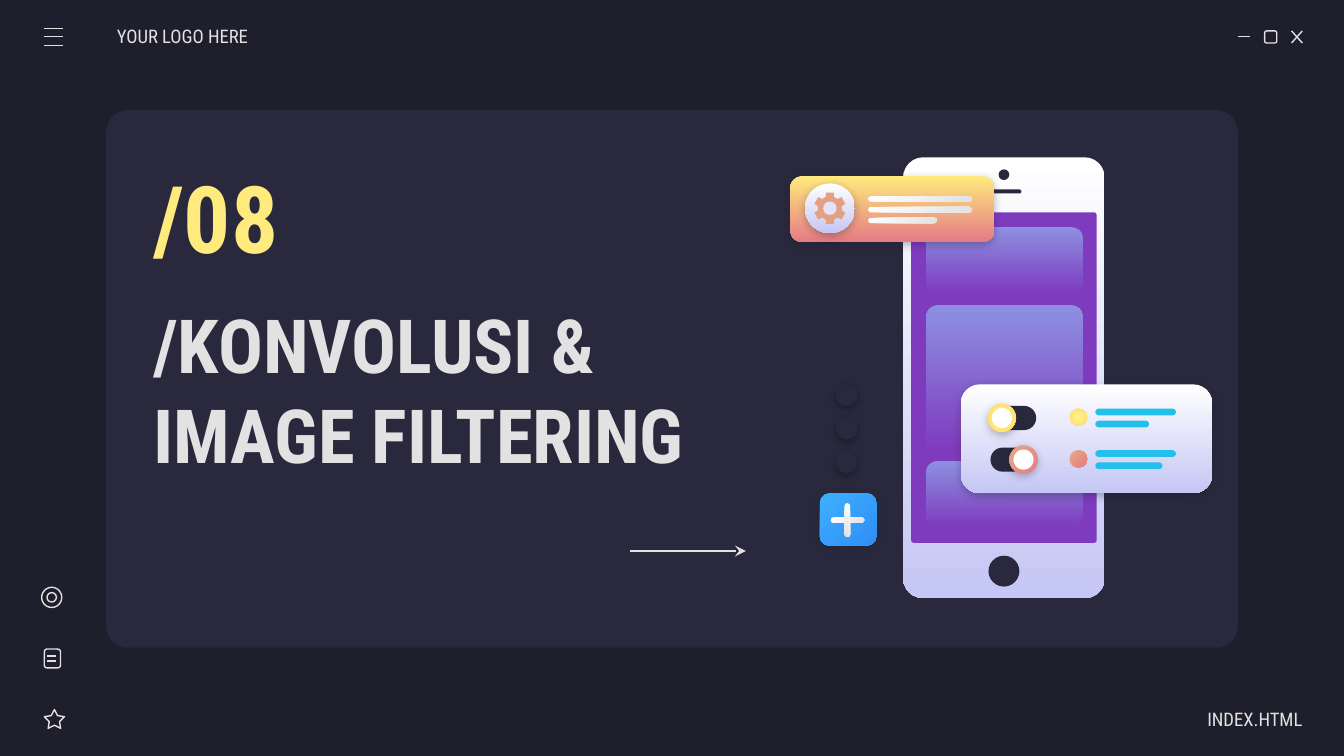
from dataclasses import dataclass
from math import cos, radians, sin

from lxml import etree
from pptx import Presentation
from pptx.dml.color import RGBColor
from pptx.enum.shapes import MSO_CONNECTOR, MSO_SHAPE
from pptx.enum.text import MSO_ANCHOR, MSO_AUTO_SIZE, PP_ALIGN
from pptx.oxml import parse_xml
from pptx.oxml.ns import nsdecls, qn
from pptx.util import Inches, Pt

ROUND, OVAL, STAR = MSO_SHAPE.ROUNDED_RECTANGLE, MSO_SHAPE.OVAL, MSO_SHAPE.STAR_5_POINT
STRAIGHT = MSO_CONNECTOR.STRAIGHT
MIDDLE, NO_FIT = MSO_ANCHOR.MIDDLE, MSO_AUTO_SIZE.NONE
LEFT, RIGHT = PP_ALIGN.LEFT, PP_ALIGN.RIGHT
FONT = "Roboto Condensed"
NAVY, PANEL, LIGHT, YELLOW = "1E1E2C", "29283D", "E2E2E2", "FFEA7D"
WHITE, PURPLE, CYAN, ORANGE = "FFFFFF", "7E3BBE", "24BFEB", "E5A083"


@dataclass(frozen=True)
class Gradient:
    start: str
    end: str
    angle: int = 90
    radial: bool = False


@dataclass(frozen=True)
class Box:
    left: float
    top: float
    width: float
    height: float


@dataclass(frozen=True)
class Toggle:
    track_top: float
    knob_left: float
    ring: Gradient
    bar_widths: tuple[float, float]


SILVER = Gradient(WHITE, "C5C7F4")
BAR = Gradient(WHITE, LIGHT, 45)
VIOLET = Gradient("8D90E1", PURPLE)
GOLD = Gradient("FFF68E", "FFD966", radial=True)
CORAL = Gradient("E9A984", "E57C85", 45)
TOGGLES = (Toggle(3.02, 7.35, GOLD, (0.6, 0.4)),
           Toggle(3.33, 7.51, CORAL, (0.6, 0.5)))

# Widescreen slide, 16 to 9
presentation = Presentation()
presentation.slide_width = Inches(10)
presentation.slide_height = Inches(10 * 9 / 16)
slide = presentation.slides.add_slide(presentation.slide_layouts[0])


def color(value: str) -> RGBColor:
    return RGBColor.from_string(value)


def paint(shape, fill: str | Gradient | None) -> None:
    if fill is None:
        shape.fill.background()
    elif isinstance(fill, str):
        shape.fill.solid()
        shape.fill.fore_color.rgb = color(fill)
    else:
        shape.fill.gradient()
        shape.fill.gradient_angle = 360 - fill.angle
        for stop, value, position in zip(shape.fill.gradient_stops, (fill.start, fill.end), (0, 1)):
            stop.color.rgb = color(value)
            stop.position = position
        if fill.radial:
            linear = shape._element.spPr.find(".//" + qn("a:lin"))
            linear.getparent().replace(linear, parse_xml(
                f'<a:path {nsdecls("a")} path="circle">'
                '<a:fillToRect l="50000" t="50000" r="50000" b="50000"/></a:path>'))


def cast_shadow(shape, value: str) -> None:
    effects = shape._element.spPr.find(qn("a:effectLst"))
    effects.append(parse_xml(
        f'<a:outerShdw {nsdecls("a")} blurRad="57150" dist="19050" dir="5400000" algn="bl" '
        f'rotWithShape="0"><a:srgbClr val="{value}"><a:alpha val="30000"/></a:srgbClr></a:outerShdw>'))


def style(shape, fill: str | Gradient | None, outlined: bool = False, shadow: str = "") -> None:
    shape.shadow.inherit = False
    paint(shape, fill)
    if outlined:
        shape.line.color.rgb = color(LIGHT)
        shape.line.width = Pt(0.75)
    else:
        shape.line.fill.background()
    if shadow:
        cast_shadow(shape, shadow)


def add_shape(kind, box: Box, fill: str | Gradient | None = None, radius: float = 0,
              outlined: bool = False, shadow: str = ""):
    shape = slide.shapes.add_shape(kind, Inches(box.left), Inches(box.top),
                                   Inches(box.width), Inches(box.height))
    if kind == ROUND:
        shape.adjustments[0] = radius / min(box.width, box.height)
    style(shape, fill, outlined, shadow)
    return shape


def add_bar(left: float, top: float, width: float, height: float, fill: str | Gradient):
    return add_shape(ROUND, Box(left, top, width, height), fill, height / 2)


def add_circle(x: float, y: float, diameter: float, fill: str | Gradient | None = None,
               outlined: bool = False, shadow: str = "") -> None:
    box = Box(x - diameter / 2, y - diameter / 2, diameter, diameter)
    add_shape(OVAL, box, fill, outlined=outlined, shadow=shadow)


def add_line(x1: float, y1: float, x2: float, y2: float, arrow: bool = False) -> None:
    line = slide.shapes.add_connector(STRAIGHT, Inches(x1), Inches(y1), Inches(x2), Inches(y2))
    line.line.color.rgb = color(LIGHT)
    line.line.width = Pt(0.75)
    if arrow:
        etree.SubElement(line.line._get_or_add_ln(), qn("a:tailEnd"), type="stealth")
    etree.SubElement(line._element.spPr, qn("a:effectLst"))


def write(shape, box: Box, text: str, size: int, value: str = LIGHT, bold: bool = False,
          align=LEFT, left_inset: float = 0.1, right_inset: float = 0.1) -> None:
    shape.left, shape.top = Inches(box.left), Inches(box.top)
    shape.width, shape.height = Inches(box.width), Inches(box.height)
    frame = shape.text_frame
    frame.text = text
    frame.word_wrap, frame.auto_size, frame.vertical_anchor = True, NO_FIT, MIDDLE
    frame.margin_left, frame.margin_right = Inches(left_inset), Inches(right_inset)
    frame.margin_top = frame.margin_bottom = Inches(0.1)
    paragraph = frame.paragraphs[0]
    paragraph.alignment, paragraph.space_before = align, Pt(0)
    font = paragraph.font
    font.name, font.size, font.bold = FONT, Pt(size), bold
    font.color.rgb = color(value)


def add_gear(x: float, y: float) -> None:
    points = [(Inches(x + radius * sin(radians(tooth + offset))),
               Inches(y - radius * cos(radians(tooth + offset))))
              for tooth in range(0, 360, 60)
              for radius, offset in ((0.09, -20), (0.12, -14), (0.12, 14), (0.09, 20))]
    builder = slide.shapes.build_freeform(*points[0])
    builder.add_line_segments(points[1:], close=True)
    style(builder.convert_to_shape(), ORANGE)
    add_circle(x, y, 0.1, "E2E3FA")


# Background and main panel, with the placeholders raised above the panel
slide.background.fill.solid()
slide.background.fill.fore_color.rgb = color(NAVY)
title, subtitle = slide.placeholders
panel = add_shape(ROUND, Box(0.79, 0.82, 8.42, 4), PANEL, 0.16)
title._element.addprevious(panel._element)

# Window buttons and menu
add_line(9.21, 0.27, 9.3, 0.27)
add_shape(ROUND, Box(9.41, 0.23, 0.09, 0.09), radius=0.015, outlined=True)
add_line(9.61, 0.23, 9.69, 0.32)
add_line(9.69, 0.23, 9.61, 0.32)
for menu_y in (0.21, 0.27, 0.34):
    add_line(0.33, menu_y, 0.47, menu_y)

# Side icons
for diameter in (0.15, 0.07):
    add_circle(0.385, 4.445, diameter, outlined=True)
add_shape(ROUND, Box(0.33, 4.83, 0.12, 0.14), radius=0.02, outlined=True)
for note_y in (4.88, 4.92):
    add_line(0.35, note_y, 0.42, note_y)
star = add_shape(STAR, Box(0.33, 5.28, 0.15, 0.14), outlined=True)
star.adjustments[0] = 0.254

# Texts
write(title, Box(1.04, 2.07, 4.3, 1.64), "/KONVOLUSI & IMAGE FILTERING", 40, bold=True)
write(subtitle, Box(0.87, 0.12, 1.17, 0.3), "YOUR LOGO HERE", 10, left_inset=0)
write(slide.shapes.add_textbox(0, 0, 0, 0), Box(1.04, 1.15, 1.78, 0.92), "/08", 50, YELLOW, True)
write(slide.shapes.add_textbox(0, 0, 0, 0), Box(8.52, 5.2, 1.17, 0.3), "INDEX.HTML", 10,
      align=RIGHT, right_inset=0)
add_line(4.69, 4.1, 5.55, 4.1, arrow=True)

# Phone
add_shape(ROUND, Box(6.72, 1.17, 1.5, 3.28), SILVER, 0.15)
add_circle(7.47, 1.3, 0.08, PANEL)
add_bar(7.35, 1.41, 0.25, 0.03, PANEL)
add_circle(7.47, 4.25, 0.23, PANEL)
add_shape(ROUND, Box(6.78, 1.58, 1.38, 2.46), PURPLE, 0.02)
for tile_top, tile_height in ((1.69, 0.49), (2.27, 1.09), (3.43, 0.49)):
    add_shape(ROUND, Box(6.89, tile_top, 1.17, tile_height), VIOLET, 0.09)

# Settings card
add_shape(ROUND, Box(5.88, 1.31, 1.52, 0.49), Gradient(YELLOW, "E57C85"), 0.09, shadow=NAVY)
add_circle(6.175, 1.55, 0.37, SILVER, shadow=NAVY)
add_gear(6.175, 1.55)
for row, bar_width in enumerate((0.77, 0.77, 0.51)):
    add_bar(6.46, 1.46 + 0.08 * row, bar_width, 0.04, BAR)

# Toggle card
add_shape(ROUND, Box(7.15, 2.86, 1.87, 0.81), SILVER, 0.14, shadow=NAVY)
for toggle in TOGGLES:
    middle = toggle.track_top + 0.09
    add_bar(7.37, toggle.track_top, 0.34, 0.18, PANEL)
    add_circle(toggle.knob_left + 0.105, middle, 0.21, toggle.ring, shadow=NAVY)
    add_circle(toggle.knob_left + 0.105, middle, 0.15, WHITE)
    add_circle(8.025, middle - 0.005, 0.13, toggle.ring)
    for row, bar_width in enumerate(toggle.bar_widths):
        add_bar(8.15, toggle.track_top + 0.02 + 0.09 * row, bar_width, 0.05, CYAN)

# Plus button and dots
add_shape(ROUND, Box(6.1, 3.67, 0.42, 0.39), Gradient("3DB0FD", "308EF7", 45), 0.07, shadow=NAVY)
for rotation in (0, 90):
    add_bar(6.18, 3.85, 0.25, 0.04, BAR).rotation = rotation
for dot in range(3):
    add_circle(6.3, 2.94 + 0.25 * dot, 0.16, PANEL, shadow="000000")

presentation.save("out.pptx")
